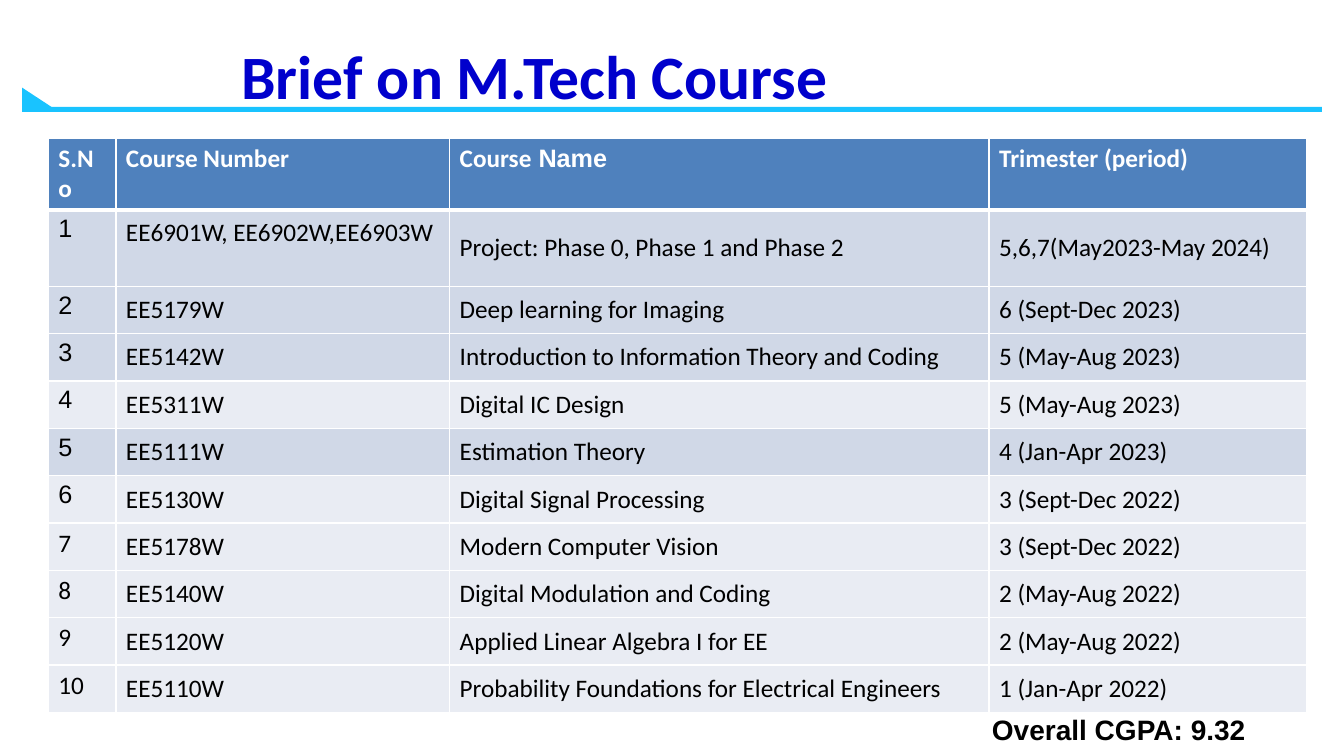
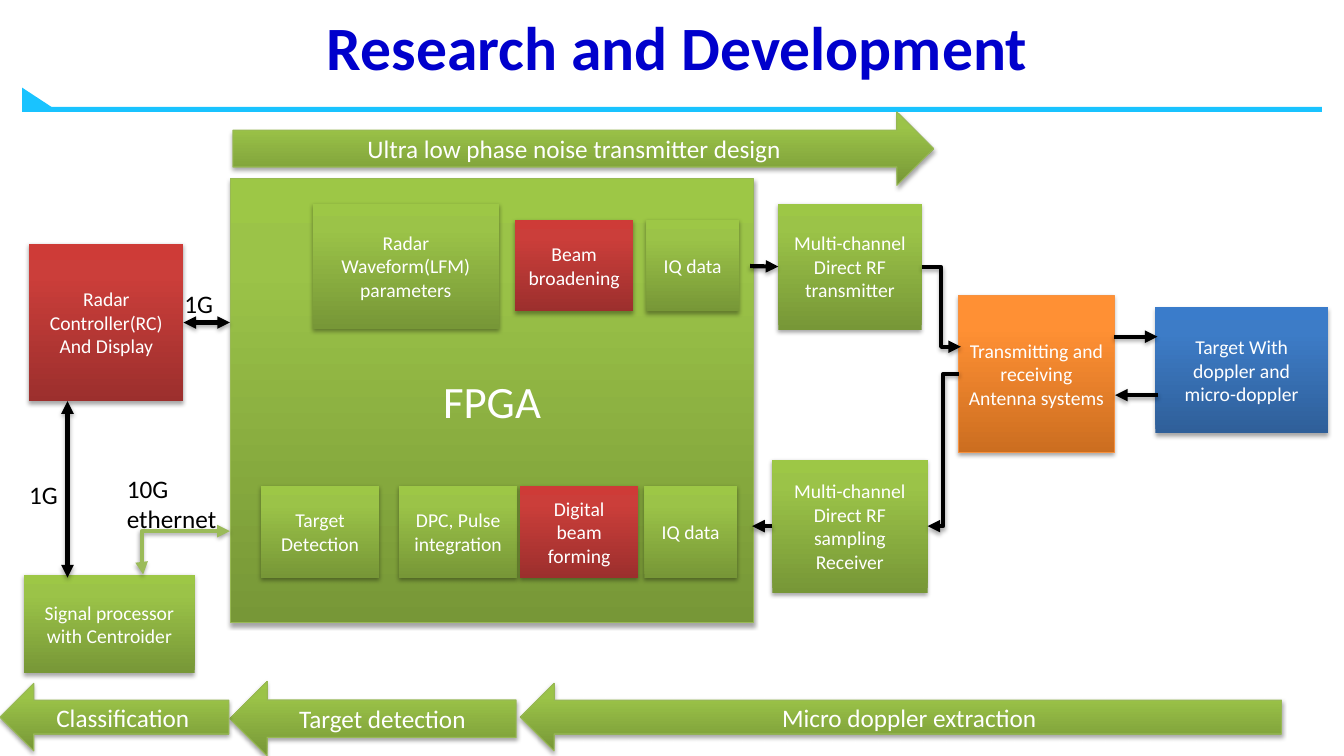
from lxml.etree import SubElement
from pptx import Presentation
from pptx.dml.color import RGBColor
from pptx.enum.shapes import MSO_CONNECTOR, MSO_SHAPE
from pptx.enum.text import MSO_ANCHOR, MSO_AUTO_SIZE, PP_ALIGN
from pptx.oxml.ns import qn
from pptx.util import Emu, Pt

EMU_PER_PX = 9144
BLACK, WHITE = "000000", "FFFFFF"
TITLE_BLUE, BAND = "0000CC", "19C3FF"
HEADER, DARK_ROW, LIGHT_ROW = "4F81BD", "D0D8E7", "E9ECF3"
LINE_GREEN, CONNECTOR_GREEN, LINE_ORANGE = "98B955", "9BBB59", "F69240"
# Gradients run from bottom to top
GREEN = ("779737", "9BC348", "9DC746")
RED = ("9C2F2D", "CB3E3A", "CE3B37")
ORANGE = ("CC6E20", "FF9034", "FF9136")
BLUE = ("2F5F99", "3D7CC7", "3A7CCB")
GRADIENT_STOPS = (0, 80000, 100000)

COURSES = [
    ("S.No", "Course Number", "Course", "Trimester (period)"),
    ("1", "EE6901W, EE6902W,EE6903W", "Project: Phase 0, Phase 1 and Phase 2",
     "5,6,7(May2023-May 2024)"),
    ("2", "EE5179W", "Deep learning for Imaging", "6 (Sept-Dec 2023)"),
    ("3", "EE5142W", "Introduction to Information Theory and Coding", "5 (May-Aug 2023)"),
    ("4", "EE5311W", "Digital IC Design", "5 (May-Aug 2023)"),
    ("5", "EE5111W", "Estimation Theory", "4 (Jan-Apr 2023)"),
    ("6", "EE5130W", "Digital Signal Processing", "3 (Sept-Dec 2022)"),
    ("7", "EE5178W", "Modern Computer Vision", "3 (Sept-Dec 2022)"),
    ("8", "EE5140W", "Digital Modulation and Coding", "2 (May-Aug 2022)"),
    ("9", "EE5120W", "Applied Linear Algebra I for EE", "2 (May-Aug 2022)"),
    ("10", "EE5110W", "Probability Foundations for Electrical Engineers",
     "1 (Jan-Apr 2022)"),
]
COLUMN_WIDTHS = (67, 331, 535, 315)
ROW_HEIGHTS = (70, 76) + (47,) * 9
DARK_ROWS = (1, 2, 3, 5)
ARIAL_NUMBERS = range(1, 7)


def px(*lengths):
    return [Emu(length * EMU_PER_PX) for length in lengths]


def rgb(color):
    return RGBColor.from_string(color)


def add_shadow(shape_properties):
    effects = shape_properties.find(qn("a:effectLst"))
    if effects is None:
        effects = SubElement(shape_properties, qn("a:effectLst"))
    shadow = SubElement(effects, qn("a:outerShdw"), blurRad="40000", dist="23000",
                        dir="5400000", rotWithShape="0")
    color = SubElement(shadow, qn("a:srgbClr"), val=BLACK)
    SubElement(color, qn("a:alpha"), val="35000")


def fill_gradient(shape, colors):
    shape.fill.gradient()
    shape.fill.gradient_angle = 90
    stops = shape._element.spPr.find(qn("a:gradFill")).find(qn("a:gsLst"))
    for stop in list(stops):
        stops.remove(stop)
    for position, color in zip(GRADIENT_STOPS, colors):
        stop = SubElement(stops, qn("a:gs"), pos=str(position))
        SubElement(stop, qn("a:srgbClr"), val=color)


def add_borders(cell, top=0.96, bottom=0.96):
    properties = cell._tc.get_or_add_tcPr()
    for side, width in (("L", 0.96), ("R", 0.96), ("T", top), ("B", bottom)):
        line = SubElement(properties, qn(f"a:ln{side}"), w=str(Pt(width)))
        fill = SubElement(line, qn("a:solidFill"))
        SubElement(fill, qn("a:srgbClr"), val=WHITE)


def format_span(span, size, color, bold=False, font="Calibri"):
    span.font.size = Pt(size)
    span.font.name = font
    span.font.bold = bold
    span.font.color.rgb = rgb(color)


def set_text(frame, text, size, color, bold=False, font="Calibri", align=PP_ALIGN.LEFT):
    frame.text = text
    for para in frame.paragraphs:
        para.alignment = align
        for span in para.runs:
            format_span(span, size, color, bold, font)


class SlideBuilder:
    """Holds the deck, its style and the slide being filled."""

    def __init__(self):
        self.deck = Presentation()
        self.deck.slide_width, self.deck.slide_height = px(1333, 750)
        self.layout = self.deck.slide_layouts[5]
        self.slide = None

    def new_slide(self, title, place, insets, line_spacing=None):
        self.slide = self.deck.slides.add_slide(self.layout)
        if len(self.deck.slides) == 1:
            self.add_layout_band()
        box = self.slide.shapes.title
        box.left, box.top, box.width, box.height = px(*place)
        frame = box.text_frame
        frame.auto_size = MSO_AUTO_SIZE.NONE
        frame.word_wrap = True
        frame.vertical_anchor = MSO_ANCHOR.MIDDLE
        frame.margin_left, frame.margin_top = px(*insets)
        frame.margin_right, frame.margin_bottom = px(*insets)
        set_text(frame, title, 44, TITLE_BLUE, bold=True, align=PP_ALIGN.CENTER)
        if line_spacing:
            frame.paragraphs[0].line_spacing = line_spacing

    def add_layout_band(self):
        """Draw the band once and move it to the layout, behind every slide."""
        parts = ((MSO_SHAPE.RECTANGLE, (22, 106, 1289, 5)),
                 (MSO_SHAPE.RIGHT_TRIANGLE, (22, 87, 29, 19)))
        for number, (kind, place) in enumerate(parts, 101):
            part = self.slide.shapes.add_shape(kind, *px(*place))
            part.shadow.inherit = False
            part.fill.solid()
            part.fill.fore_color.rgb = rgb(BAND)
            part.line.fill.background()
            part._element.nvSpPr.cNvPr.id = number
            self.layout.shapes._spTree.append(part._element)

    def block(self, text, place, colors=GREEN, size=14, line=None, kind=MSO_SHAPE.RECTANGLE):
        shape = self.slide.shapes.add_shape(kind, *px(*place))
        shape.shadow.inherit = False
        fill_gradient(shape, colors)
        if line:
            shape.line.color.rgb = rgb(line)
            shape.line.width = Pt(0.75)
        else:
            shape.line.fill.background()
        add_shadow(shape._element.spPr)
        shape.text_frame.word_wrap = True
        shape.text_frame.vertical_anchor = MSO_ANCHOR.MIDDLE
        set_text(shape.text_frame, text, size, WHITE, align=PP_ALIGN.CENTER)
        return shape

    def banner(self, text, place, kind=MSO_SHAPE.LEFT_ARROW):
        return self.block(text, place, size=18, line=LINE_GREEN, kind=kind)

    def label(self, text, place, size=18, anchor=MSO_ANCHOR.MIDDLE, **style):
        frame = self.slide.shapes.add_textbox(*px(*place)).text_frame
        frame.word_wrap = True
        frame.vertical_anchor = anchor
        set_text(frame, text, size, BLACK, **style)

    def arrow(self, start, end, tips=("tail",), color=BLACK, bent=False, adjust=None):
        """Draw a connector; head is the tip at the start, tail the one at the end."""
        kind = MSO_CONNECTOR.ELBOW if bent else MSO_CONNECTOR.STRAIGHT
        connector = self.slide.shapes.add_connector(kind, *px(*start, *end))
        connector.line.color.rgb = rgb(color)
        connector.line.width = Pt(3)
        properties = connector._element.spPr
        line = properties.find(qn("a:ln"))
        for tip in tips:
            SubElement(line, qn(f"a:{tip}End"), type="triangle")
        if adjust is not None:
            guides = properties.find(qn("a:prstGeom")).find(qn("a:avLst"))
            SubElement(guides, qn("a:gd"), name="adj1", fmla=f"val {adjust}")
        add_shadow(properties)
        return connector

    def table(self, rows, place, column_widths, row_heights):
        frame = self.slide.shapes.add_table(
            len(rows), len(column_widths),
            *px(*place, sum(column_widths), sum(row_heights)))
        table = frame.table
        table.horz_banding = False
        for column, width in zip(table.columns, px(*column_widths)):
            column.width = width
        for row, height in zip(table.rows, px(*row_heights)):
            row.height = height
        for row_index, values in enumerate(rows):
            for column_index, value in enumerate(values):
                self.fill_cell(table.cell(row_index, column_index), value,
                               row_index, column_index)
        return table

    def fill_cell(self, cell, value, row, column):
        is_header = row == 0
        add_borders(cell, top=3 if row == 1 else 0.96, bottom=3 if is_header else 0.96)
        cell.fill.solid()
        fill = HEADER if is_header else DARK_ROW if row in DARK_ROWS else LIGHT_ROW
        cell.fill.fore_color.rgb = rgb(fill)
        if not is_header and column > 0:
            cell.margin_left, cell.margin_top = px(10, 8)
            cell.margin_right, cell.margin_bottom = px(10, 8)
            first_number = row == 1 and column == 1
            cell.vertical_anchor = MSO_ANCHOR.TOP if first_number else MSO_ANCHOR.MIDDLE
        font = "Arial" if column == 0 and row in ARIAL_NUMBERS else "Calibri"
        set_text(cell.text_frame, value, 18, WHITE if is_header else BLACK, is_header, font)


def build_course_slide(builder):
    builder.new_slide("Brief on M.Tech Course", (-26, 5, 1113, 102), (0, 0), 1.5)
    table = builder.table(COURSES, (48, 137), COLUMN_WIDTHS, ROW_HEIGHTS)
    span = table.cell(0, 2).text_frame.paragraphs[0].add_run()
    span.text = " Name"
    format_span(span, 18, WHITE, bold=True, font="Arial")
    builder.label("Overall CGPA: 9.32", (974, 702, 280, 43), size=20,
                  anchor=MSO_ANCHOR.TOP, bold=True, font="Arial")


def build_research_slide(builder):
    builder.new_slide("Research and Development", (97, 0, 1150, 90), (10, 5))

    builder.block("FPGA", (229, 177, 518, 441), size=32, line=LINE_GREEN)
    builder.block("Target With doppler and micro-doppler", (1146, 305, 171, 125), BLUE)
    builder.block("Transmitting and receiving Antenna systems", (951, 293, 154, 156),
                  ORANGE, line=LINE_ORANGE)
    transmitter = builder.block("Multi-channel Direct RF transmitter", (772, 202, 142, 125))
    receiver = builder.block("Multi-channel Direct RF sampling Receiver",
                             (766, 456, 154, 132))
    controller = builder.block("Radar Controller(RC)\nAnd Display", (29, 242, 153, 156), RED)
    builder.block("Signal processor with Centroider", (24, 570, 169, 98))
    builder.block("Radar Waveform(LFM) parameters", (310, 202, 185, 124))
    for text, left, top, width, colors in (
            ("Beam broadening", 511, 218, 117, RED),
            ("IQ data", 641, 218, 92, GREEN),
            ("Target Detection", 259, 482, 117, GREEN),
            ("DPC, Pulse integration", 396, 482, 117, GREEN),
            ("Digital beam forming", 516, 482, 117, RED),
            ("IQ data", 639, 482, 92, GREEN)):
        builder.block(text, (left, top, width, 91), colors)

    both = ("head", "tail")
    builder.arrow((182, 320), (228, 320), both).begin_connect(controller, 3)
    builder.arrow((67, 398), (67, 573), both)
    builder.arrow((142, 570), (228, 527), both, CONNECTOR_GREEN, bent=True, adjust=-1600)
    builder.arrow((1105, 334), (1148, 334))
    builder.arrow((1106, 392), (1149, 392), ("head",))
    builder.arrow((914, 265), (953, 344), bent=True)
    builder.arrow((951, 371), (920, 522), bent=True)
    builder.arrow((766, 522), (746, 522)).begin_connect(receiver, 1)
    builder.arrow((744, 264), (772, 265)).end_connect(transmitter, 1)

    builder.label("10G ethernet", (116, 464, 112, 71))
    builder.label("1G", (19, 471, 112, 40))
    builder.label("1G", (173, 281, 112, 40))

    builder.banner("Micro doppler extraction", (516, 678, 755, 67))
    builder.banner("Target detection", (228, 676, 284, 74))
    builder.banner("Classification", (0, 678, 227, 67))
    builder.banner("Ultra low phase noise transmitter design", (231, 111, 695, 73),
                   MSO_SHAPE.RIGHT_ARROW)


def main():
    builder = SlideBuilder()
    build_course_slide(builder)
    build_research_slide(builder)
    builder.deck.save("out.pptx")


if __name__ == "__main__":
    main()
